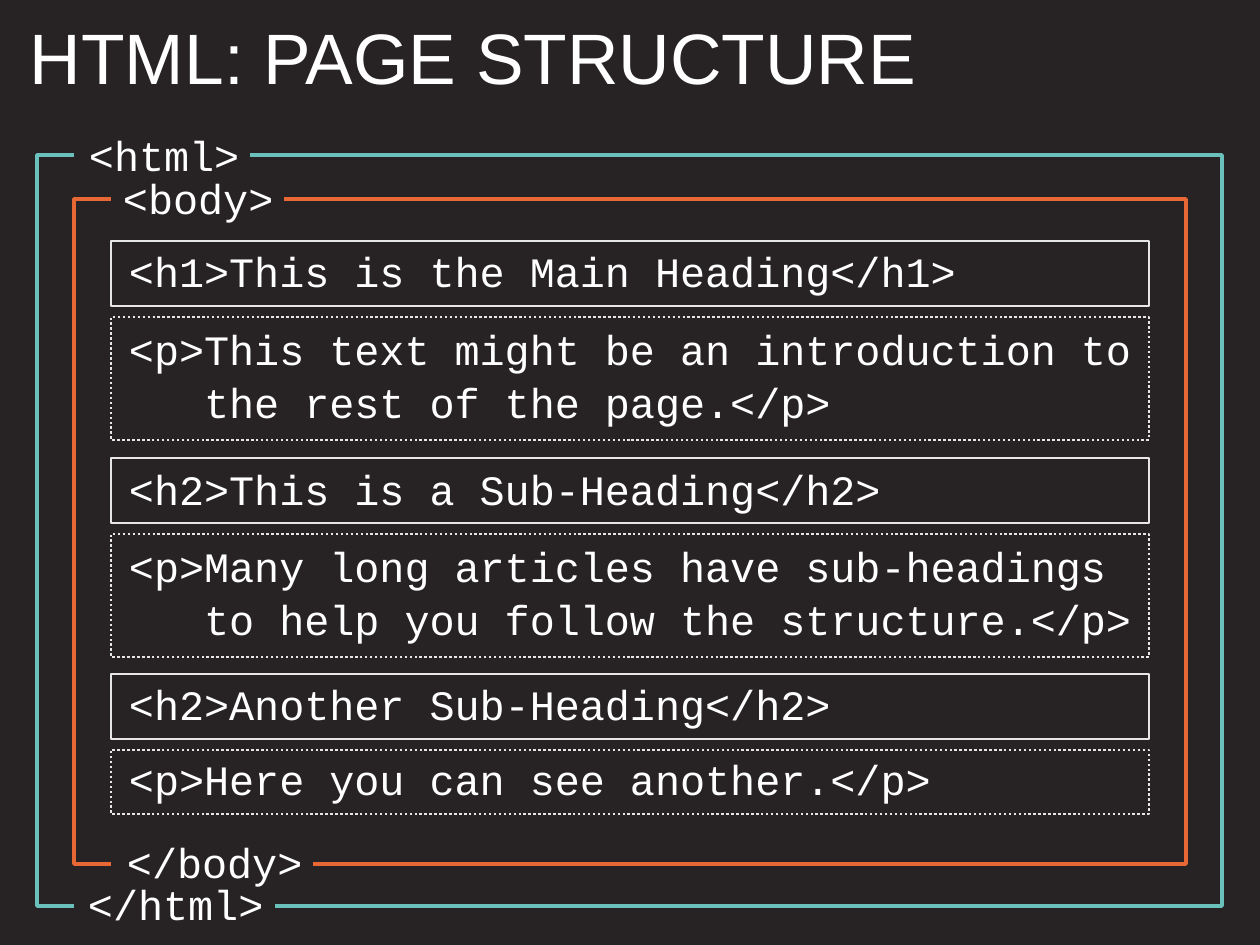
from pptx import Presentation
from pptx import util as u
from pptx.dml.color import RGBColor
from pptx.enum import dml, shapes, text

PX = 914400 / 88.6
COLORS = {"background": "272224", "text": "FFFFFF", "box": "E6E6E6",
          "html": "6AC0BA", "body": "E86835"}
TITLE = "HTML: PAGE STRUCTURE"
LINE_HEIGHT = 50
STUB = 37
BOX_LEFT, BOX_WIDTH, BOX_INDENT = 111, 1038, 18

# element, left, top, right, bottom, gap end above, gap end below
FRAMES = [
    ("html", 37, 155, 1222, 906, 250, 275),
    ("body", 74, 199, 1186, 864, 284, 313),
]
# tag, left, top, width
TAGS = [
    ("<html>", 89, 128, 160),
    ("</html>", 88, 877, 197),
    ("<body>", 123, 171, 160),
    ("</body>", 127, 835, 197),
]
# top, height, text top, outline, code lines
BOXES = [
    (241, 65, 244, "solid", ["<h1>This is the Main Heading</h1>"]),
    (317, 123, 324, "dotted", ["<p>This text might be an introduction to",
                               "   the rest of the page.</p>"]),
    (458, 65, 462, "solid", ["<h2>This is a Sub-Heading</h2>"]),
    (534, 123, 541, "dotted", ["<p>Many long articles have sub-headings",
                               "   to help you follow the structure.</p>"]),
    (674, 65, 677, "solid", ["<h2>Another Sub-Heading</h2>"]),
    (750, 64, 752, "dotted", ["<p>Here you can see another.</p>"]),
]


def px(value):
    return u.Emu(round(value * PX))


def color(name):
    return RGBColor.from_string(COLORS[name])


def write(shape, lines, size=34, font="Courier New", spacing=1.06, inset=0,
          anchor=text.MSO_ANCHOR.MIDDLE):
    frame = shape.text_frame
    frame.word_wrap = True
    frame.auto_size = text.MSO_AUTO_SIZE.NONE
    frame.vertical_anchor = anchor
    frame.margin_left = frame.margin_right = px(inset)
    frame.margin_top = frame.margin_bottom = px(inset)
    frame.text = "\n".join(lines)
    for paragraph in frame.paragraphs:
        paragraph.alignment = text.PP_ALIGN.LEFT
        paragraph.line_spacing = spacing
        for run in paragraph.runs:
            run.font.size = u.Pt(size)
            run.font.name = font
            run.font.color.rgb = color("text")


def add_code(slide, lines, left, top, width):
    box = slide.shapes.add_textbox(px(left), px(top), px(width),
                                   px(LINE_HEIGHT * len(lines)))
    write(box, lines)


def outline(shape, name, points):
    shape.shadow.inherit = False
    shape.fill.background()
    shape.line.color.rgb = color(name)
    shape.line.width = u.Pt(points)


def add_bracket(slide, name, side, top, bottom, upper_end, lower_end):
    """Draw one upright side of a frame with its two arms."""
    builder = slide.shapes.build_freeform(upper_end, top, scale=PX)
    builder.add_line_segments(
        [(side, top), (side, bottom), (lower_end, bottom)], close=False)
    outline(builder.convert_to_shape(), name, 3)


def main():
    deck = Presentation()
    deck.slide_width, deck.slide_height = px(1260), px(945)
    slide = deck.slides.add_slide(deck.slide_layouts[5])
    slide.background.fill.solid()
    slide.background.fill.fore_color.rgb = color("background")

    title = slide.shapes.title
    title.left, title.top, title.width, title.height = map(px, (25, 25, 1206, 98))
    write(title, [TITLE], size=58, font="Arial", spacing=0.8, inset=5,
          anchor=text.MSO_ANCHOR.TOP)

    for name, left, top, right, bottom, upper_gap, lower_gap in FRAMES:
        add_bracket(slide, name, left, top, bottom, left + STUB, left + STUB)
        add_bracket(slide, name, right, top, bottom, upper_gap, lower_gap)
    for tag, left, top, width in TAGS:
        add_code(slide, [tag], left, top, width)

    for top, height, text_top, style, lines in BOXES:
        box = slide.shapes.add_shape(shapes.MSO_SHAPE.RECTANGLE, px(BOX_LEFT),
                                     px(top), px(BOX_WIDTH), px(height))
        outline(box, "box", 2)
        if style == "dotted":
            box.line.dash_style = dml.MSO_LINE.ROUND_DOT
        add_code(slide, lines, BOX_LEFT + BOX_INDENT, text_top,
                 BOX_WIDTH - BOX_INDENT)

    deck.save("out.pptx")


if __name__ == "__main__":
    main()
